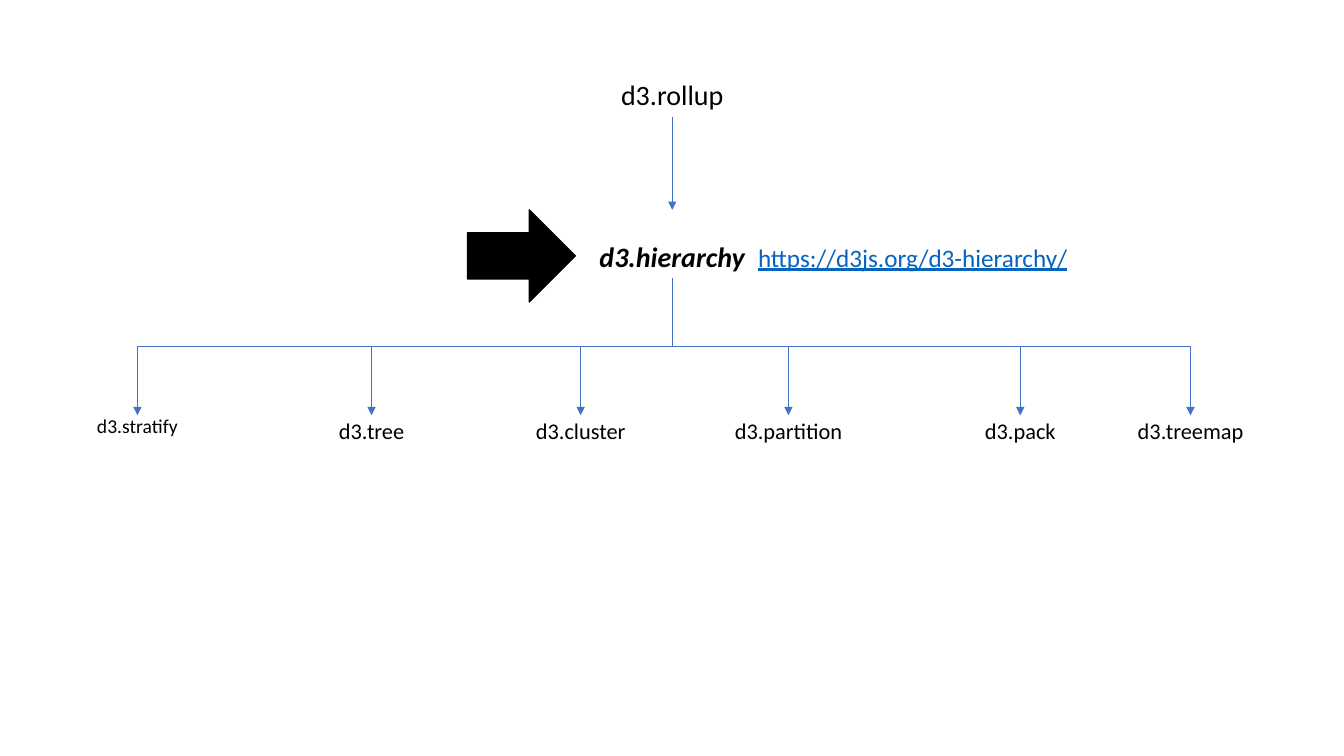
from pptx import Presentation
from pptx.dml.color import RGBColor
from pptx.enum.dml import MSO_LINE
from pptx.enum.shapes import MSO_CONNECTOR, MSO_SHAPE
from pptx.enum.text import MSO_ANCHOR, PP_ALIGN
from pptx.oxml.ns import qn
from pptx.util import Pt
from lxml import etree

STRAIGHT, ELBOW = MSO_CONNECTOR.STRAIGHT, MSO_CONNECTOR.ELBOW
ARROW, SOLID = MSO_SHAPE.RIGHT_ARROW, MSO_LINE.SOLID
TOP, BOTTOM = MSO_ANCHOR.TOP, MSO_ANCHOR.BOTTOM
CENTER = PP_ALIGN.CENTER
FONT = "Calibri"
COLORS = {"text": "000000", "line": "4472C4", "link": "0563C1"}

# Content: name, middle x, width, height, format
MID = 480.2
ROOT = ("d3.rollup", MID, 237, 56.1)
NODE = ("d3.hierarchy", MID, 148.4, 48.9)
URL = ("https://d3js.org/d3-hierarchy/", 651.9, 244, 29)
LEAVES = [
    ("d3.stratify", 98.2, 74.2, 29.5, {"size": 14, "space": 0.7}),
    ("d3.tree", 265.4, 74.2, 29.5, {}),
    ("d3.cluster", 414.8, 83, 38.9, {}),
    ("d3.partition", 563.2, 92.2, 44.6, {}),
    ("d3.pack", 728.8, 80.6, 44.6, {}),
    ("d3.treemap", 850.4, 98, 47.5, {}),
]
ROOT_Y, NODE_Y, URL_Y, LEAF_Y = 27.4, 149.9, 169.2, 296.7

deck = Presentation()
deck.slide_width, deck.slide_height = Pt(960), Pt(540)
slide = deck.slides.add_slide(deck.slide_layouts[6])
shapes = slide.shapes


def rgb(name):
    return RGBColor.from_string(COLORS[name])


def label(text, mid, width, height, top, size=16, space=0.9, color="text",
          anchor=TOP, bold=False, italic=False, under=False, wrap=True):
    box = shapes.add_textbox(Pt(mid - width / 2), Pt(top), Pt(width), Pt(height))
    frame = box.text_frame
    frame.word_wrap, frame.vertical_anchor = wrap, anchor
    para = frame.paragraphs[0]
    para.alignment, para.line_spacing = CENTER, space
    run = para.add_run()
    run.text = text
    font = run.font
    font.name, font.size, font.color.rgb = FONT, Pt(size), rgb(color)
    font.bold, font.italic, font.underline = bold, italic, under
    return box


def link(kind, start, end):
    """Join the bottom of one box to the top of another with an arrow."""
    wire = shapes.add_connector(kind, 0, 0, 0, 0)
    wire.begin_connect(start, 2)
    wire.end_connect(end, 0)
    wire.line.color.rgb, wire.line.width = rgb("line"), Pt(0.5)
    wire.line.dash_style = SOLID
    props = wire._element.spPr
    tail = etree.SubElement(props.find(qn("a:ln")), qn("a:tailEnd"))
    tail.set("type", "triangle")
    etree.SubElement(props, qn("a:effectLst"))
    return wire


def branch(start, end):
    """Turn an elbow so that it leaves downward, then runs to the side."""
    wire = link(ELBOW, start, end)
    x1, y1 = start.left + start.width // 2, start.top + start.height
    x2, y2 = end.left + end.width // 2, end.top
    drop, span = y2 - y1, abs(x2 - x1)
    wire.left, wire.top = (x1 + x2 - drop) // 2, (y1 + y2 - span) // 2
    wire.width, wire.height = drop, span
    right = x2 > x1
    turn = wire._element.spPr.find(qn("a:xfrm"))
    turn.set("rot", "16200000" if right else "5400000")
    turn.set("flipH", "1" if right else "0")
    turn.set("flipV", "0")


# Labels
root = label(*ROOT, ROOT_Y, size=20, anchor=BOTTOM)
node = label(*NODE, NODE_Y, size=20, anchor=BOTTOM, bold=True, italic=True)
leaves = [label(*place, LEAF_Y, **style) for *place, style in LEAVES]

# Connectors
link(STRAIGHT, root, node)
for leaf in leaves:
    branch(node, leaf)

# Pointer and web address
arrow = shapes.add_shape(ARROW, Pt(334), Pt(NODE_Y), Pt(77), Pt(65.8))
arrow.shadow.inherit = False
arrow.fill.solid()
arrow.fill.fore_color.rgb = arrow.line.color.rgb = rgb("text")
arrow.line.width = Pt(1)
label(*URL, URL_Y, size=18, space=1.0, color="link", under=True, wrap=False)

deck.save("out.pptx")
